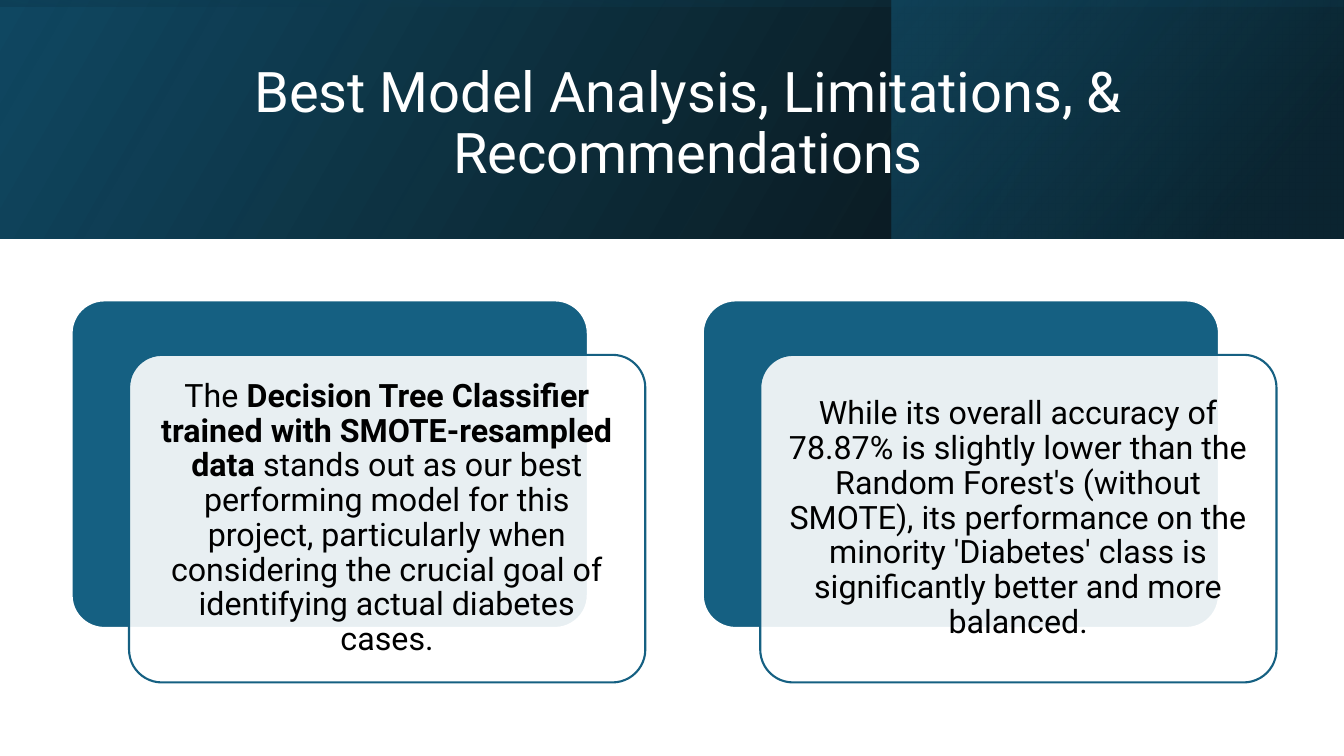
from pptx import Presentation
from pptx.dml.color import RGBColor
from pptx.enum.shapes import MSO_SHAPE as Shape
from pptx.enum.text import MSO_ANCHOR as Anchor, PP_ALIGN as Align
from pptx.oxml.ns import qn
from pptx.util import Inches, Pt
from lxml import etree

FONT = "Roboto"
TEAL, NAVY, DEEP = "156082", "104862", "0B3041"
BLACK, WHITE = "000000", "FFFFFF"

TITLE = "Best Model Analysis, Limitations, & Recommendations"
FINDINGS = [
    [
        ("The ", False),
        ("Decision Tree Classifier trained with SMOTE-resampled data", True),
        (" stands out as our best performing model for this project, particularly "
         "when considering the crucial goal of identifying actual diabetes cases.", False),
    ],
    [
        ("While its overall accuracy of 78.87% is slightly lower than the Random "
         "Forest's (without SMOTE), its performance on the minority 'Diabetes' class "
         "is significantly better and more balanced.", False),
    ],
]


def rgb(value):
    return RGBColor.from_string(value)


def set_alpha(color_parent, percent):
    color = color_parent.find(".//" + qn("a:srgbClr"))
    etree.SubElement(color, qn("a:alpha")).set("val", str(percent * 1000))


def add_shape(shapes, kind, left, top, width, height):
    shape = shapes.add_shape(
        kind, Inches(left), Inches(top), Inches(width), Inches(height))
    shape.shadow.inherit = False
    return shape


def add_gradient_band(shapes, box, stops, angle, rotation=0):
    band = add_shape(shapes, Shape.RECTANGLE, *box)
    band.rotation = rotation
    band.line.fill.background()
    band.element.spPr.find(qn("a:xfrm")).set("flipH", "1")
    band.fill.gradient()
    band.fill.gradient_angle = 360 - angle
    gradient_stops = band.element.spPr.findall(".//" + qn("a:gs"))
    for stop, element, (position, color, alpha) in zip(
            band.fill.gradient_stops, gradient_stops, stops):
        stop.position = position / 100
        stop.color.rgb = rgb(color)
        set_alpha(element, alpha)


def write_text(frame, runs, size, color):
    frame.word_wrap = True
    frame.vertical_anchor = Anchor.MIDDLE
    paragraph = frame.paragraphs[0]
    paragraph.alignment = Align.CENTER
    paragraph.line_spacing = 0.9
    for text, bold in runs:
        run = paragraph.add_run()
        run.text = text
        run.font.name = FONT
        run.font.size = Pt(size)
        run.font.bold = bold
        run.font.color.rgb = rgb(color)


def add_header(shapes, left, top, width, height):
    add_gradient_band(shapes, (left, top, width, height),
                      [(0, BLACK, 96), (100, NAVY, 100)], 330)
    add_gradient_band(shapes, (left + 8.84, top, 4.48, height),
                      [(19, DEEP, 68), (100, TEAL, 48)], 320)
    offset = (width - height) / 2
    add_gradient_band(shapes, (left + offset, top - offset, height, width),
                      [(23, NAVY, 16), (99, BLACK, 45)], 350, 270)
    title = shapes.add_textbox(
        Inches(left + 1.51), Inches(top + 0.38), Inches(10.63), Inches(1.72))
    write_text(title.text_frame, [(TITLE, False)], 40, WHITE)


def add_panel(shapes, left, top, width, height, fill, line):
    panel = add_shape(shapes, Shape.ROUNDED_RECTANGLE, left, top, width, height)
    panel.adjustments[0] = 0.1
    panel.fill.solid()
    panel.fill.fore_color.rgb = rgb(fill)
    panel.line.color.rgb = rgb(line)
    panel.line.width = Pt(1.5)
    return panel


def add_finding(shapes, left, top, width, height, runs):
    add_panel(shapes, left, top, width, height, TEAL, WHITE)
    card = add_panel(shapes, left + 0.57, top + 0.54, width, height, WHITE, TEAL)
    set_alpha(card.element.spPr.find(qn("a:solidFill")), 90)
    frame = card.text_frame
    frame.margin_left = frame.margin_right = Inches(0.1)
    frame.margin_top = frame.margin_bottom = Inches(0.1)
    write_text(frame, runs, 23, BLACK)


def main():
    presentation = Presentation()
    presentation.slide_width = Inches(13.33)
    presentation.slide_height = Inches(7.5)
    slide = presentation.slides.add_slide(presentation.slide_layouts[6])
    add_header(slide.shapes, 0, 0, 13.33, 2.37)
    findings = slide.shapes.add_group_shape()
    for index, runs in enumerate(FINDINGS):
        add_finding(findings.shapes, 0.71 + index * 6.26, 2.98, 5.12, 3.25, runs)
    presentation.save("out.pptx")


if __name__ == "__main__":
    main()
